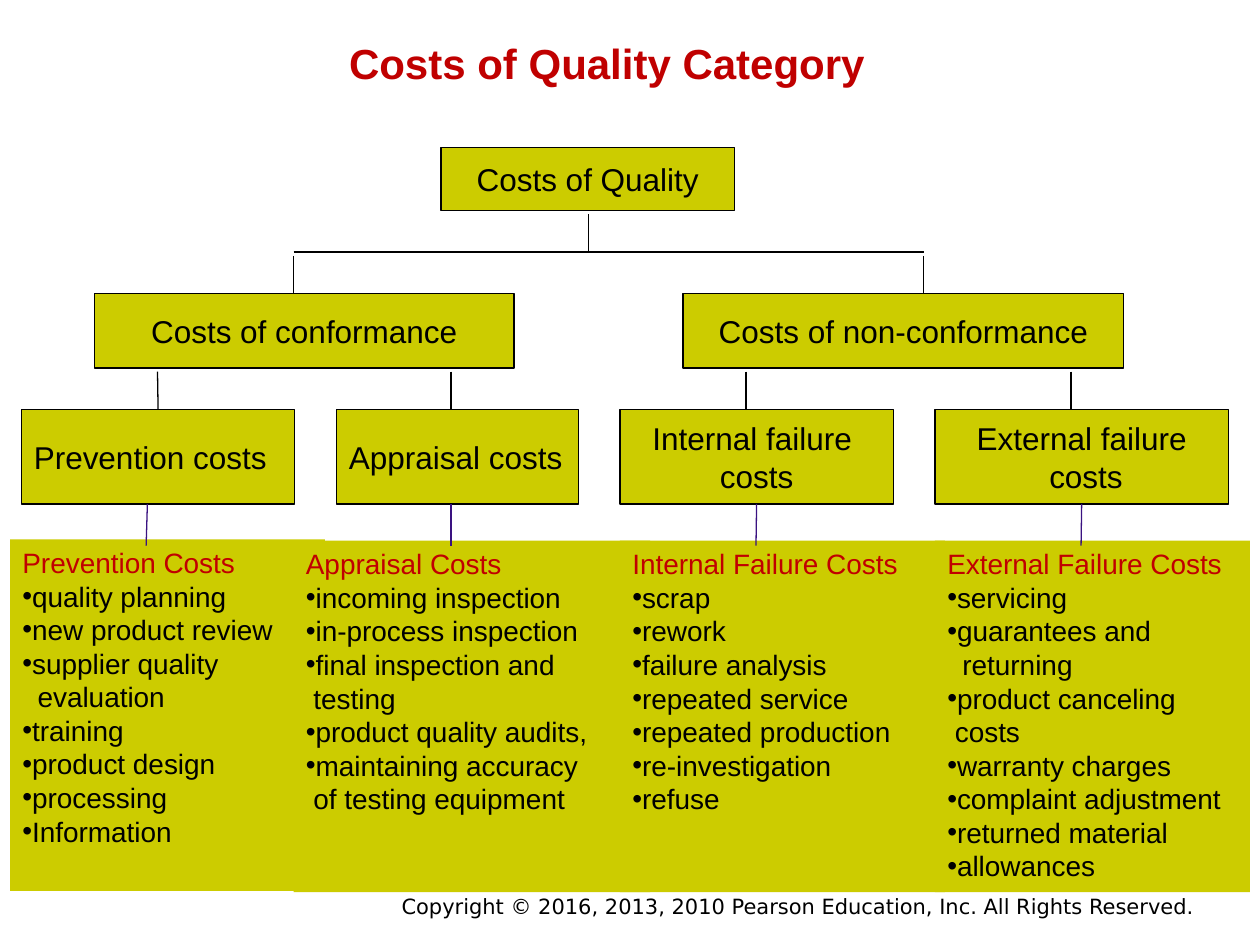
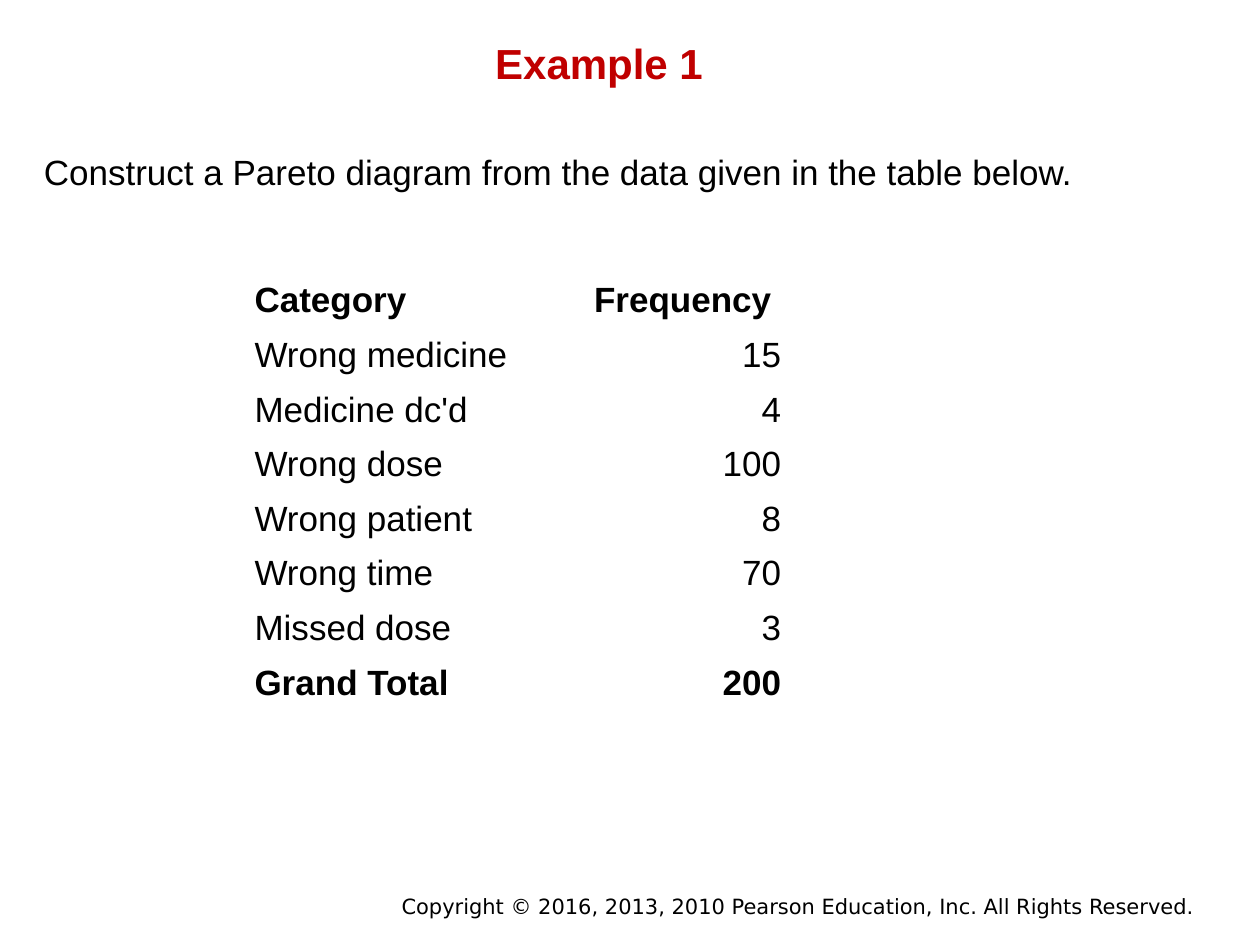
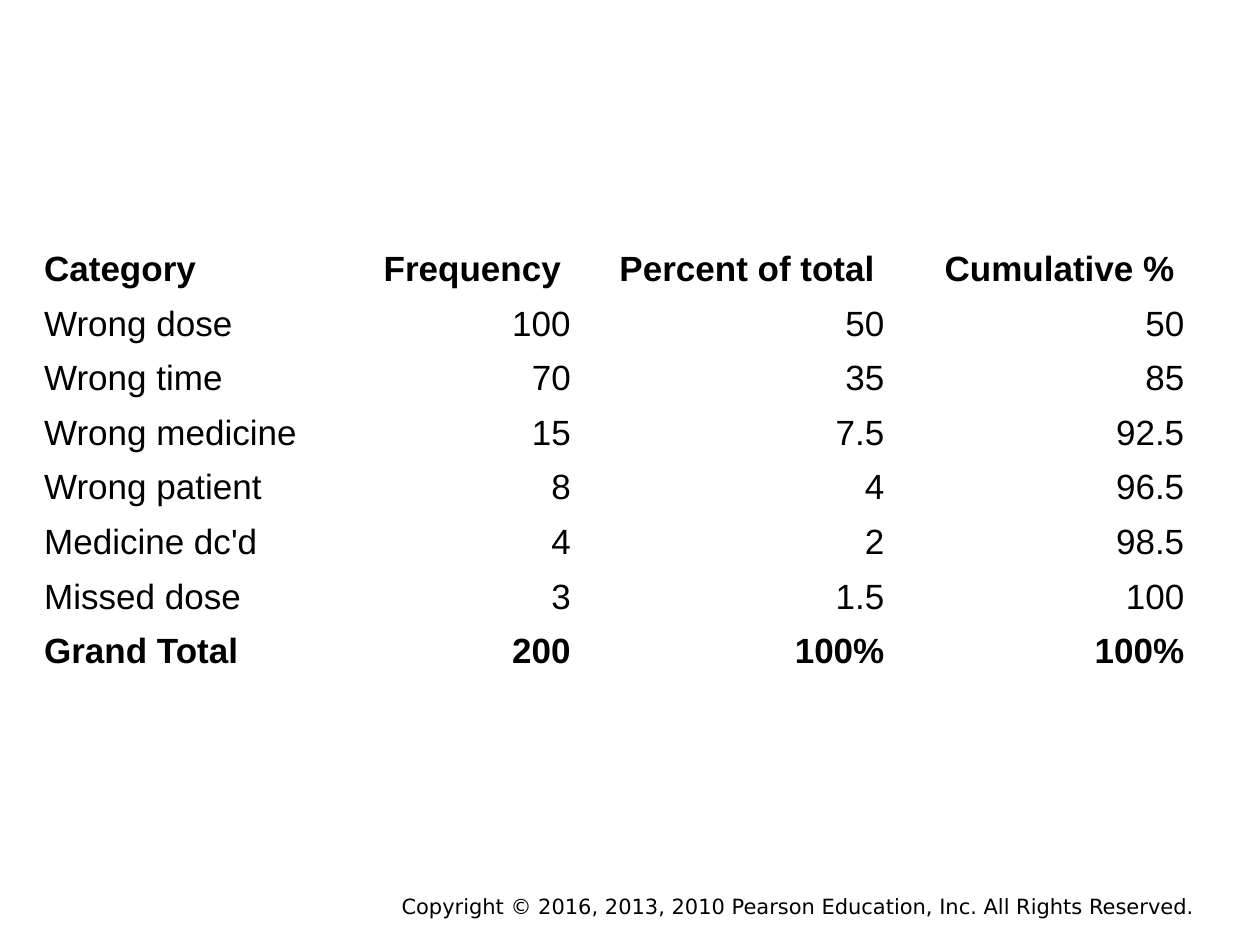
from lxml import etree
from pptx import Presentation
from pptx.dml.color import RGBColor
from pptx.enum.shapes import MSO_CONNECTOR, MSO_SHAPE
from pptx.enum.text import MSO_ANCHOR, MSO_AUTO_SIZE, PP_ALIGN
from pptx.oxml.ns import qn
from pptx.util import Inches, Pt

BLACK = RGBColor(0x00, 0x00, 0x00)
RED = RGBColor(0xC0, 0x00, 0x00)
OLIVE = RGBColor(0xCC, 0xCC, 0x00)
INDIGO = RGBColor(0x3A, 0x12, 0x81)
FONT = "Arial"
FOOTER_FONT = "DejaVu Sans"
FOOTER = "Copyright © 2016, 2013, 2010 Pearson Education, Inc. All Rights Reserved."

LEFT, CENTER, RIGHT = PP_ALIGN.LEFT, PP_ALIGN.CENTER, PP_ALIGN.RIGHT
TOP, MIDDLE = MSO_ANCHOR.TOP, MSO_ANCHOR.MIDDLE
NO_AUTOFIT = MSO_AUTO_SIZE.NONE
RECTANGLE = MSO_SHAPE.RECTANGLE
STRAIGHT = MSO_CONNECTOR.STRAIGHT
SITE_TOP, SITE_BOTTOM = 0, 2
TITLE_ONLY_LAYOUT, BLANK_LAYOUT = 5, 6

SPACE_WIDTH = 0.06
PANEL_HEIGHT = 2.79
TABLE_HEIGHT = 3.47
COLUMN_WIDTHS = [2.52, 1.86, 2.49, 2.38]

# Each panel: left, top, width, heading, items. A pair is a continuation line
# with its indent in space widths.
PANELS = [
    (0.08, 4.28, 2.5, "Prevention Costs",
     ["quality planning", "new product review", "supplier quality",
      (2, "evaluation"), "training", "product design", "processing",
      "Information"]),
    (2.33, 4.29, 2.83, "Appraisal Costs",
     ["incoming inspection", "in-process inspection", "final inspection and",
      (1, "testing"), "product quality audits,", "maintaining accuracy",
      (1, "of testing equipment")]),
    (4.92, 4.29, 2.58, "Internal Failure Costs",
     ["scrap", "rework", "failure analysis", "repeated service",
      "repeated production", "re-investigation", "refuse"]),
    (7.42, 4.29, 2.5, "External Failure Costs",
     ["servicing", "guarantees and", (2, "returning"), "product canceling",
      (1, "costs"), "warranty charges", "complaint adjustment",
      "returned material", "allowances"]),
]

ERROR_COUNTS = [
    ["Category", "Frequency "],
    ["Wrong medicine", "15"],
    ["Medicine dc'd", "4"],
    ["Wrong dose", "100"],
    ["Wrong patient", "8"],
    ["Wrong time", "70"],
    ["Missed dose", "3"],
    ["Grand Total", "200"],
]
SORTED_ERRORS = [
    ["Category", "Frequency ", "Percent of total ", "Cumulative % "],
    ["Wrong dose", "100", "50", "50"],
    ["Wrong time", "70", "35", "85"],
    ["Wrong medicine", "15", "7.5", "92.5"],
    ["Wrong patient", "8", "4", "96.5"],
    ["Medicine dc'd", "4", "2", "98.5"],
    ["Missed dose", "3", "1.5", "100"],
    ["Grand Total", "200", "100%", "100%"],
]


def inches(*values):
    return [Inches(value) for value in values]


def write(paragraph, text, size=18, color=BLACK, bold=False, font=FONT,
          align=LEFT, bullet=False, indent=0):
    properties = paragraph._p.get_or_add_pPr()
    if bullet or indent:
        properties.set("marL", str(Inches(indent)))
        properties.set("indent", "0")
    if bullet:
        etree.SubElement(properties, qn("a:buFont")).set("typeface", font)
        etree.SubElement(properties, qn("a:buChar")).set("char", "•")
    paragraph.alignment = align
    run = paragraph.add_run()
    run.text = text
    run.font.name = font
    run.font.size = Pt(size)
    run.font.bold = bold
    run.font.color.rgb = color


def prepare_frame(shape, anchor=TOP):
    frame = shape.text_frame
    frame.word_wrap = True
    frame.auto_size = NO_AUTOFIT
    frame.vertical_anchor = anchor
    return frame


def add_text(slide, left, top, width, height, text, anchor=TOP, **text_format):
    box = slide.shapes.add_textbox(*inches(left, top, width, height))
    write(prepare_frame(box, anchor).paragraphs[0], text, **text_format)


def add_slide(presentation, layout_index):
    """Add a slide that carries the copyright footer."""
    slide = presentation.slides.add_slide(presentation.slide_layouts[layout_index])
    add_text(slide, 1.75, 7.04, 7.83, 0.3, FOOTER, size=12, font=FOOTER_FONT,
             align=RIGHT)
    return slide


def set_title(slide, text, left, width):
    title = slide.shapes.title
    title.left, title.top, title.width, title.height = inches(left, 0.25, width, 0.51)
    write(prepare_frame(title).paragraphs[0], text, size=24, color=RED, bold=True)


def add_rectangle(slide, left, top, width, height, outlined=True):
    rectangle = slide.shapes.add_shape(RECTANGLE, *inches(left, top, width, height))
    rectangle.shadow.inherit = False
    rectangle.fill.solid()
    rectangle.fill.fore_color.rgb = OLIVE
    if outlined:
        rectangle.line.color.rgb = BLACK
        rectangle.line.width = Pt(0.75)
    else:
        rectangle.line.fill.background()
    return rectangle


def add_category_box(slide, left, top, width, height, *lines, align=CENTER):
    box = add_rectangle(slide, left, top, width, height)
    frame = prepare_frame(box, MIDDLE)
    if align == LEFT:
        frame.margin_right = 0
    for index, line in enumerate(lines):
        paragraph = frame.add_paragraph() if index else frame.paragraphs[0]
        write(paragraph, line, align=align)
    return box


def add_panel(slide, left, top, width, heading, items):
    panel = add_rectangle(slide, left, top, width, PANEL_HEIGHT, outlined=False)
    frame = prepare_frame(panel)
    write(frame.paragraphs[0], heading, size=16, color=RED)
    for item in items:
        paragraph = frame.add_paragraph()
        if isinstance(item, tuple):
            spaces, text = item
            write(paragraph, text, size=16, indent=spaces * SPACE_WIDTH)
        else:
            write(paragraph, item, size=16, bullet=True)


def add_line(slide, start_x, start_y, end_x, end_y, color=BLACK,
             start_box=None, end_box=None):
    line = slide.shapes.add_connector(
        STRAIGHT, *inches(start_x, start_y, end_x, end_y))
    line.line.color.rgb = color
    line.line.width = Pt(0.75)
    etree.SubElement(line._element.spPr, qn("a:effectLst"))
    if start_box is not None:
        line.begin_connect(start_box, SITE_BOTTOM)
    if end_box is not None:
        line.end_connect(end_box, SITE_TOP)


def add_data_table(slide, left, top, rows):
    """Add a plain table with a bold first and last row and right-aligned numbers."""
    widths = COLUMN_WIDTHS[:len(rows[0])]
    table = slide.shapes.add_table(
        len(rows), len(widths),
        *inches(left, top, sum(widths), TABLE_HEIGHT)).table
    table.first_row = table.horz_banding = False
    for column, width in zip(table.columns, widths):
        column.width = Inches(width)
    for row_index, row in enumerate(rows):
        for column_index, value in enumerate(row):
            cell = table.cell(row_index, column_index)
            cell.fill.background()
            cell.vertical_anchor = MIDDLE
            write(cell.text_frame.paragraphs[0], value, size=20,
                  bold=row_index in (0, len(rows) - 1),
                  align=RIGHT if column_index else LEFT)


def build_cost_tree(presentation):
    slide = add_slide(presentation, TITLE_ONLY_LAYOUT)
    set_title(slide, "Costs of Quality Category", 2.67, 4.33)
    for panel in PANELS:
        add_panel(slide, *panel)

    add_category_box(slide, 3.5, 1.17, 2.33, 0.5, "Costs of Quality")
    add_category_box(slide, 0.75, 2.33, 3.33, 0.59, "Costs of conformance")
    add_category_box(slide, 5.42, 2.33, 3.5, 0.59, "Costs of non-conformance")
    prevention = add_category_box(slide, 0.17, 3.25, 2.17, 0.75,
                                  "Prevention costs", align=LEFT)
    add_category_box(slide, 2.67, 3.25, 1.92, 0.75, "Appraisal costs", align=LEFT)
    internal = add_category_box(slide, 4.92, 3.25, 2.17, 0.75,
                                "Internal failure ", "costs")
    external = add_category_box(slide, 7.42, 3.25, 2.33, 0.75,
                                "External failure", " costs")

    add_line(slide, 2.33, 2, 7.33, 2)
    add_line(slide, 4.67, 1.7, 4.67, 2)
    for x in (2.33, 7.33):
        add_line(slide, x, 2.03, x, 2.33)
    for x, box in ((1.25, prevention), (3.58, None), (5.92, None), (8.5, None)):
        add_line(slide, x, 2.95, x, 3.25, end_box=box)
    for start_x, end_x, box in ((1.17, 1.16, None), (3.58, 3.58, None),
                                (6, 6, internal), (8.59, 8.58, external)):
        add_line(slide, start_x, 4, end_x, 4.33, color=INDIGO, start_box=box)


def build_example(presentation):
    slide = add_slide(presentation, TITLE_ONLY_LAYOUT)
    set_title(slide, "Example 1", 3.83, 1.87)
    add_text(slide, 0.25, 1.14, 8.5, 0.44,
             "Construct a Pareto diagram from the data given in the table below.",
             anchor=MIDDLE, size=20)
    add_data_table(slide, 1.92, 2.17, ERROR_COUNTS)


def build_sorted_table(presentation):
    slide = add_slide(presentation, BLANK_LAYOUT)
    add_data_table(slide, 0.25, 1.92, SORTED_ERRORS)


def main():
    presentation = Presentation()
    presentation.slide_width, presentation.slide_height = inches(10, 7.5)
    build_cost_tree(presentation)
    build_example(presentation)
    build_sorted_table(presentation)
    presentation.save("out.pptx")


if __name__ == "__main__":
    main()
